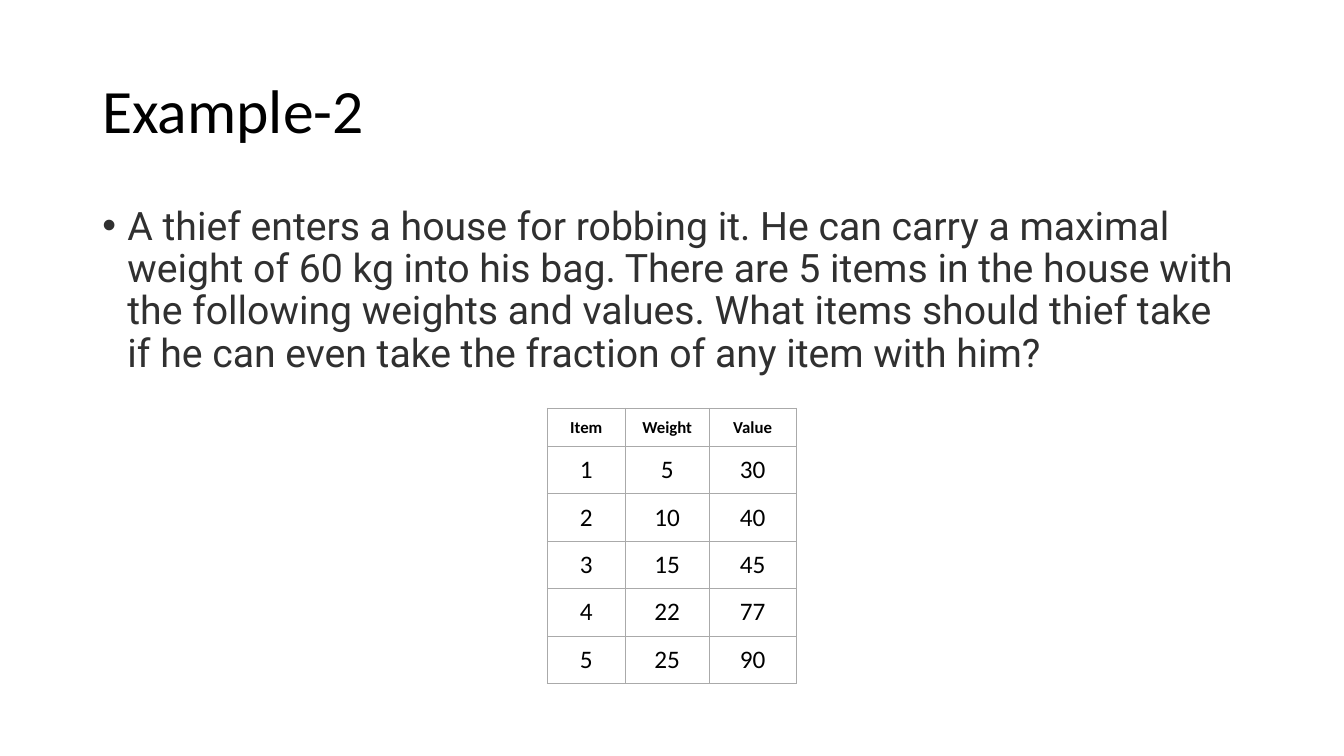
from lxml import etree
from pptx import Presentation
from pptx.dml.color import RGBColor
from pptx.enum.text import MSO_ANCHOR, PP_ALIGN
from pptx.oxml.ns import qn
from pptx.util import Pt

TOP, MIDDLE = MSO_ANCHOR.TOP, MSO_ANCHOR.MIDDLE
CENTER = PP_ALIGN.CENTER
BLACK = RGBColor(0x00, 0x00, 0x00)
CHARCOAL = RGBColor(0x30, 0x30, 0x30)
GRID_GRAY = RGBColor(0xAA, 0xAA, 0xAA)

QUESTION = (
    "A thief enters a house for robbing it. He can carry a maximal weight "
    "of 60 kg into his bag. There are 5 items in the house with the following "
    "weights and values. What items should thief take if he can even take "
    "the fraction of any item with him?"
)
ITEMS = [
    ("Item", "Weight", "Value"),
    (1, 5, 30),
    (2, 10, 40),
    (3, 15, 45),
    (4, 22, 77),
    (5, 25, 90),
]


def apply(target, values):
    for name, value in values.items():
        setattr(target, name, value)


class SlideBuilder:
    def __init__(self, page):
        self.page = page
        self.styles = {
            "title": dict(name="Calibri", size=Pt(44)),
            "body": dict(name="Roboto", size=Pt(28)),
            "header": dict(name="Calibri", size=Pt(12), bold=True),
            "cell": dict(name="Calibri", size=Pt(18), bold=False),
        }

    def add_span(self, para, text, style, color):
        span = para.add_run()
        span.text = text
        apply(span.font, self.styles[style])
        span.font.color.rgb = color

    def text(self, left, top, width, height, text, style, color, anchor, bullet=False):
        box = self.page.shapes.add_textbox(Pt(left), Pt(top), Pt(width), Pt(height))
        apply(box.text_frame, dict(word_wrap=True, vertical_anchor=anchor))
        para = box.text_frame.paragraphs[0]
        para.line_spacing = 0.9
        if bullet:
            self.bullet(para)
        self.add_span(para, text, style, color)

    def bullet(self, para):
        properties = para._p.get_or_add_pPr()
        properties.set("marL", str(Pt(18)))
        properties.set("indent", str(-Pt(18)))
        etree.SubElement(properties, qn("a:buFont"), typeface="Arial")
        etree.SubElement(properties, qn("a:buChar"), char="•")

    def borders(self, cell):
        properties = cell._tc.get_or_add_tcPr()
        for side in ("lnL", "lnR", "lnT", "lnB"):
            line = etree.SubElement(properties, qn(f"a:{side}"), w=str(Pt(0.75)))
            fill = etree.SubElement(line, qn("a:solidFill"))
            etree.SubElement(fill, qn("a:srgbClr"), val=str(GRID_GRAY))

    def table(self, left, top, widths, heights, rows):
        frame = self.page.shapes.add_table(
            len(rows), len(widths), Pt(left), Pt(top), Pt(sum(widths)), Pt(sum(heights))
        )
        table = frame.table
        apply(table, dict(first_row=False, horz_banding=False))
        for column, width in zip(table.columns, widths):
            column.width = Pt(width)
        for row, height, values in zip(table.rows, heights, rows):
            row.height = Pt(height)
            style = "header" if values is rows[0] else "cell"
            for cell, value in zip(row.cells, values):
                self.cell(cell, str(value), style)

    def cell(self, cell, text, style):
        apply(cell, dict(
            vertical_anchor=MIDDLE,
            margin_left=Pt(7.2), margin_right=Pt(7.2),
            margin_top=Pt(5.75), margin_bottom=Pt(5.75),
        ))
        self.borders(cell)
        cell.fill.background()
        para = cell.text_frame.paragraphs[0]
        para.alignment = CENTER
        self.add_span(para, text, style, BLACK)


def main():
    deck = Presentation()
    apply(deck, dict(slide_width=Pt(960), slide_height=Pt(540)))
    builder = SlideBuilder(deck.slides.add_slide(deck.slide_layouts[6]))
    builder.text(66, 28.75, 828, 104.4, "Example-2", "title", BLACK, MIDDLE)
    builder.text(66, 143.75, 828, 342.6, QUESTION, "body", CHARCOAL, TOP, bullet=True)
    heights = [27.2] + [33.9] * (len(ITEMS) - 1)
    builder.table(391, 291.6, [55.6, 60, 62], heights, ITEMS)
    deck.save("out.pptx")


if __name__ == "__main__":
    main()
